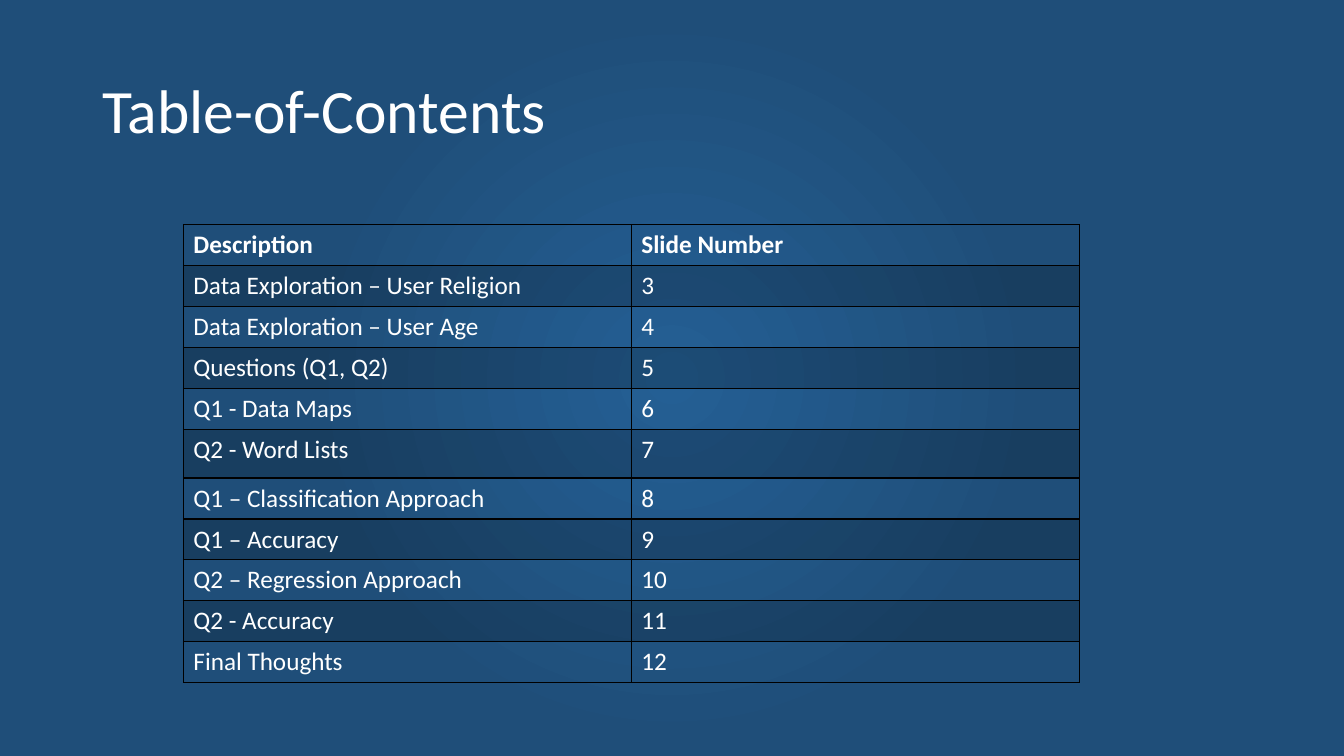
from typing import NamedTuple

from lxml import etree
from pptx import Presentation
from pptx.dml.color import RGBColor
from pptx.enum.text import MSO_ANCHOR, PP_ALIGN
from pptx.oxml import parse_xml
from pptx.oxml.ns import nsdecls, qn
from pptx.slide import Slide
from pptx.table import _Cell as Cell
from pptx.util import Pt

LEFT = PP_ALIGN.LEFT
MIDDLE = MSO_ANCHOR.MIDDLE

WHITE = RGBColor(0xFF, 0xFF, 0xFF)
BLACK = RGBColor(0x00, 0x00, 0x00)
BRIGHT = RGBColor(0x24, 0x5F, 0x94)
NAVY = RGBColor(0x1F, 0x4E, 0x79)

FONT = "Calibri"
STOPS = ((0, BRIGHT), (48, NAVY), (97, NAVY))
SHADE = 20  # percent opacity of the banded rows
WIDE = Pt(320)
HIGH = Pt(29.2)
TALL = Pt(34.9)


class Entry(NamedTuple):
    """One line of the contents table."""
    label: str
    number: str
    height: int = HIGH


ENTRIES = (
    Entry("Description", "Slide Number"),
    Entry("Data Exploration – User Religion", "3"),
    Entry("Data Exploration – User Age", "4"),
    Entry("Questions (Q1, Q2)", "5"),
    Entry("Q1 - Data Maps", "6"),
    Entry("Q2 - Word Lists", "7", TALL),
    Entry("Q1 – Classification Approach", "8"),
    Entry("Q1 – Accuracy", "9"),
    Entry("Q2 – Regression Approach", "10"),
    Entry("Q2 - Accuracy", "11"),
    Entry("Final Thoughts", "12"),
)


def paint_back(slide: Slide) -> None:
    """Fill the background with a circular gradient."""
    slide.background.fill.gradient()
    old = next(slide.element.iter(qn("a:gradFill")))
    stops = "".join(
        f'<a:gs pos="{pos * 1000}"><a:srgbClr val="{color}"/></a:gs>'
        for pos, color in STOPS)
    new = parse_xml(
        f'<a:gradFill {nsdecls("a")} rotWithShape="1"><a:gsLst>{stops}</a:gsLst>'
        '<a:path path="circle">'
        '<a:fillToRect l="50000" t="50000" r="50000" b="50000"/>'
        '</a:path></a:gradFill>')
    old.getparent().replace(old, new)


def add_title(slide: Slide, text: str) -> None:
    """Place and format the title placeholder."""
    title = slide.shapes.title
    title.left, title.top = Pt(66), Pt(28.75)
    title.width, title.height = Pt(828), Pt(104.4)
    frame = title.text_frame
    frame.text = text
    frame.vertical_anchor = MIDDLE
    para = frame.paragraphs[0]
    para.alignment = LEFT
    para.line_spacing = 0.9
    para.font.name = FONT
    para.font.size = Pt(44)
    para.font.color.rgb = WHITE


def add_edges(cell: Cell) -> None:
    """Draw a thin black border on all four sides."""
    props = cell._tc.get_or_add_tcPr()
    for side in ("lnL", "lnR", "lnT", "lnB"):
        props.append(parse_xml(
            f'<a:{side} {nsdecls("a")} w="{Pt(1)}"><a:solidFill>'
            f'<a:srgbClr val="{BLACK}"/></a:solidFill></a:{side}>'))


def fill_cell(cell: Cell, text: str, bold: bool, shaded: bool) -> None:
    """Write and format one table cell."""
    cell.text = text
    font = cell.text_frame.paragraphs[0].font
    font.name = FONT
    font.size = Pt(18)
    font.bold = bold
    font.color.rgb = WHITE
    add_edges(cell)
    if not shaded:
        cell.fill.background()
        return
    cell.fill.solid()
    cell.fill.fore_color.rgb = BLACK
    color = cell._tc.tcPr.find(qn("a:solidFill")).find(qn("a:srgbClr"))
    etree.SubElement(color, qn("a:alpha")).set("val", str(SHADE * 1000))


def add_contents(slide: Slide) -> None:
    """Build the contents table, shading every second row."""
    total = sum(entry.height for entry in ENTRIES)
    table = slide.shapes.add_table(
        len(ENTRIES), 2, Pt(131), Pt(160.6), 2 * WIDE, total).table
    table.first_row = True
    table.horz_banding = False
    for column in table.columns:
        column.width = WIDE
    for index, entry in enumerate(ENTRIES):
        table.rows[index].height = entry.height
        for col, text in enumerate((entry.label, entry.number)):
            fill_cell(table.cell(index, col), text,
                      bold=index == 0, shaded=index % 2 == 1)


def main() -> None:
    """Build and save the slide."""
    deck = Presentation()
    deck.slide_width, deck.slide_height = Pt(960), Pt(540)
    slide = deck.slides.add_slide(deck.slide_layouts.get_by_name("Title Only"))
    paint_back(slide)
    add_title(slide, "Table-of-Contents")
    add_contents(slide)
    deck.save("out.pptx")


main()
